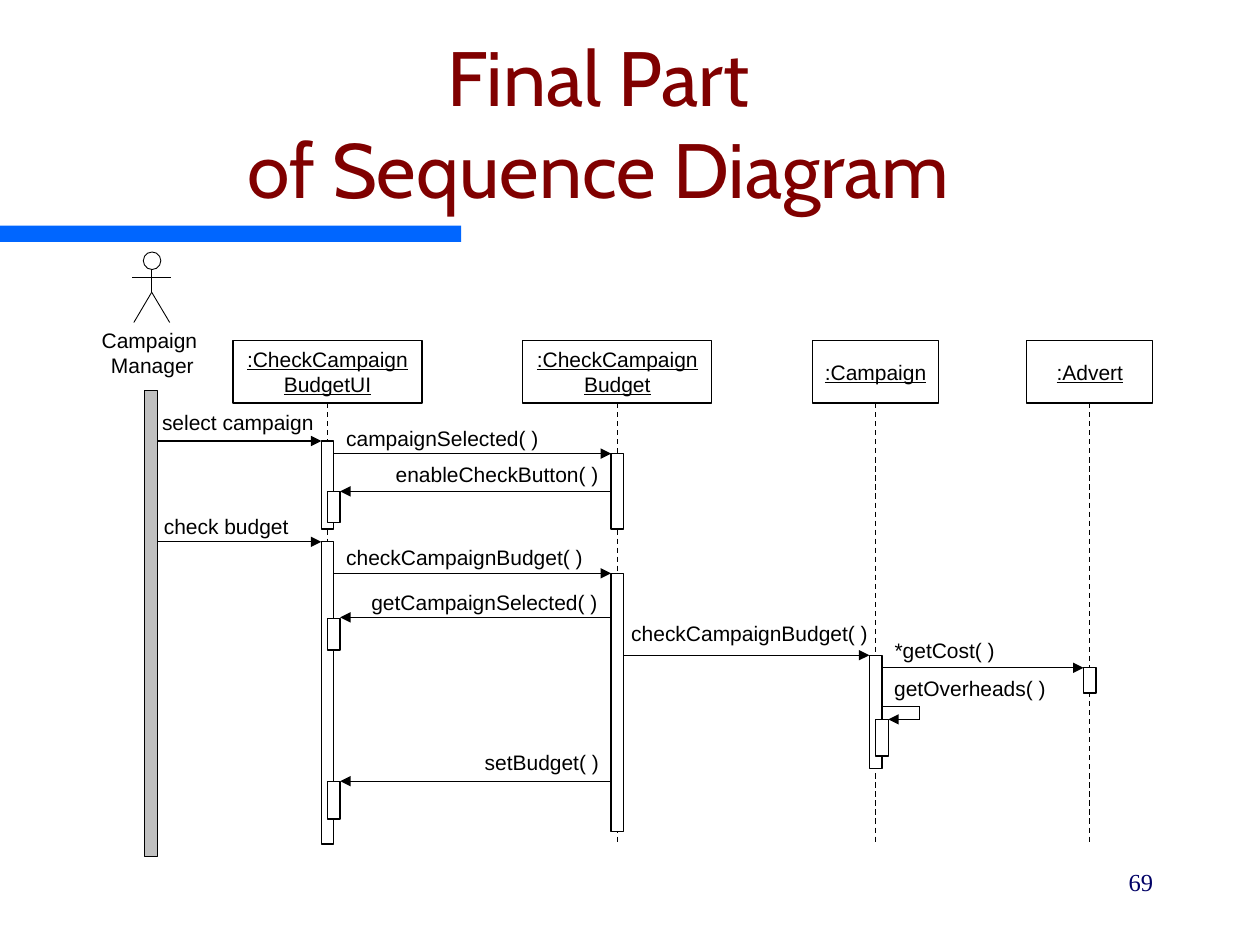
from pptx import Presentation
from pptx.dml.color import RGBColor
from pptx.enum.dml import MSO_LINE
from pptx.enum.shapes import MSO_CONNECTOR, MSO_SHAPE
from pptx.enum.text import MSO_ANCHOR, MSO_AUTO_SIZE, PP_ALIGN
from pptx.oxml.ns import qn
from pptx.util import Pt
from lxml.etree import SubElement

C = {"title": "800000", "accent": "0066FF", "ink": "000000",
     "paper": "FFFFFF", "actor": "C0C0C0", "number": "000066"}


def add_text(sp, text, size=12, font="Arial", color="ink", align=PP_ALIGN.LEFT,
             anchor=MSO_ANCHOR.TOP, inset=(0, 0), wrap=False, underline=None):
    tf = sp.text_frame
    tf.word_wrap = wrap
    tf.vertical_anchor = anchor
    tf.margin_left = tf.margin_right = Pt(inset[0])
    tf.margin_top = tf.margin_bottom = Pt(inset[1])
    p = tf.paragraphs[0]
    p.alignment = align
    for i, part in enumerate(text.split("\n")):
        if i:
            p.add_line_break()
        r = p.add_run()
        r.text = part
        r.font.size = Pt(size)
        r.font.name = font
        r.font.underline = underline
        r.font.color.rgb = RGBColor.from_string(C[color])


def add_line(x1, y1, x2, y2, width=0.75, arrow=False, dash=None):
    ln = s.shapes.add_connector(MSO_CONNECTOR.STRAIGHT, Pt(x1), Pt(y1), Pt(x2), Pt(y2))
    ln.line.color.rgb = RGBColor.from_string(C["ink"])
    ln.line.width = Pt(width)
    if dash:
        ln.line.dash_style = dash
    if arrow:
        SubElement(ln._element.spPr.find(qn("a:ln")), qn("a:tailEnd"), type="triangle")
    SubElement(ln._element.spPr, qn("a:effectLst"))


prs = Presentation()
prs.slide_width, prs.slide_height = Pt(720), Pt(540)
s = prs.slides.add_slide(prs.slide_layouts[6])

UI, BUDGET, CAMPAIGN, ADVERT = 187.2, 352.8, 500.4, 622.8
HALF = 3.6

for x in (UI, BUDGET, CAMPAIGN, ADVERT):
    add_line(x, 230.4, x, 482.4, dash=MSO_LINE.DASH)

heads = [
    (133.2, 108, ":CheckCampaign\nBudgetUI"),
    (298.8, 108, ":CheckCampaign\nBudget"),
    (464.4, 72, ":Campaign"),
    (586.8, 72, ":Advert"),
]
bars = [
    (UI, 252, 50.4), (UI + HALF, 280.8, 18),
    (UI, 309.6, 172.8), (UI + HALF, 353.5, 18), (UI + HALF, 446.4, 21.6),
    (BUDGET, 259.2, 43.2), (BUDGET, 327.6, 147.6),
    (CAMPAIGN, 374.4, 64.8), (CAMPAIGN + HALF, 411.1, 20.9),
    (ADVERT, 381.6, 14.4),
]
boxes = [(MSO_SHAPE.RECTANGLE, 0, 128.9, 263.5, 9.4, "accent", 0, ""),
         (MSO_SHAPE.RECTANGLE, 82.8, 223.2, 7.2, 266.4, "actor", 0.75, "")]
boxes += [(MSO_SHAPE.RECTANGLE, x, 194.4, w, 36, "paper", 0.75, text) for x, w, text in heads]
boxes += [(MSO_SHAPE.RECTANGLE, x - HALF, y, 2 * HALF, h, "paper", 0.75, "") for x, y, h in bars]
boxes += [(MSO_SHAPE.OVAL, 81.9, 144, 10, 10, "paper", 0.5, "")]

for kind, x, y, w, h, fill, border, text in boxes:
    sp = s.shapes.add_shape(kind, Pt(x), Pt(y), Pt(w), Pt(h))
    sp.shadow.inherit = False
    sp.fill.solid()
    sp.fill.fore_color.rgb = RGBColor.from_string(C[fill])
    if border:
        sp.line.color.rgb = RGBColor.from_string(C["ink"])
        sp.line.width = Pt(border)
    else:
        sp.line.fill.background()
    if text:
        add_text(sp, text, align=PP_ALIGN.CENTER, anchor=MSO_ANCHOR.MIDDLE,
                 inset=(7.2, 3.6), underline=True)

for limb in [(86.7, 153.6, 86.7, 167), (75.6, 158.4, 98, 158.4),
             (76.5, 184.3, 86.7, 167), (86.7, 167, 97, 184.3)]:
    add_line(*limb, width=0.5)

messages = [
    (90, UI - HALF, 252, "select campaign", 92.6, 234, 88),
    (UI + HALF, BUDGET - HALF, 259.2, "campaignSelected( )", 197.8, 243.4, 112),
    (BUDGET - HALF, UI + 2 * HALF, 280.8, "enableCheckButton( )", 226.1, 263.5, 118),
    (90, UI - HALF, 309.6, "check budget", 93.6, 293.4, 73),
    (UI + HALF, BUDGET - HALF, 327.6, "checkCampaignBudget( )", 197.8, 311, 137),
    (BUDGET - HALF, UI + 2 * HALF, 352.8, "getCampaignSelected( )", 212.2, 337, 131),
    (BUDGET + HALF, CAMPAIGN - HALF, 374.4, "checkCampaignBudget( )", 360.7, 354.8, 137),
    (CAMPAIGN + HALF, ADVERT - HALF, 381.6, "*getCost( )", 511.2, 364.3, 59),
    (525.6, CAMPAIGN + 2 * HALF, 411.1, "getOverheads( )", 511, 385.9, 89),
    (BUDGET - HALF, UI + 2 * HALF, 446.4, "setBudget( )", 277, 428.4, 67),
]
for x1, x2, y, text, left, top, width in messages:
    add_line(x1, y, x2, y, arrow=True)
    sp = s.shapes.add_textbox(Pt(left), Pt(top), Pt(width), Pt(14.4))
    add_text(sp, text)
    sp.text_frame.auto_size = MSO_AUTO_SIZE.SHAPE_TO_FIT_TEXT

add_line(CAMPAIGN + HALF, 403.9, 525.6, 403.9)
add_line(525.6, 403.9, 525.6, 411.1)

sp = s.shapes.add_textbox(Pt(54), Pt(187.2), Pt(66.2), Pt(33.1))
add_text(sp, "Campaign \nManager", align=PP_ALIGN.CENTER, wrap=True)

sp = s.shapes.add_textbox(Pt(18), Pt(36), Pt(648), Pt(90))
add_text(sp, "Final Part\nof Sequence Diagram", 44, "Cabin", "title", PP_ALIGN.CENTER,
         MSO_ANCHOR.BOTTOM, (7.2, 3.6), True)

sp = s.shapes.add_textbox(Pt(516.2), Pt(491.8), Pt(149.8), Pt(36))
add_text(sp, "69", 14, "Times New Roman", "number", PP_ALIGN.RIGHT,
         inset=(7.2, 3.6), wrap=True)

prs.save("out.pptx")
